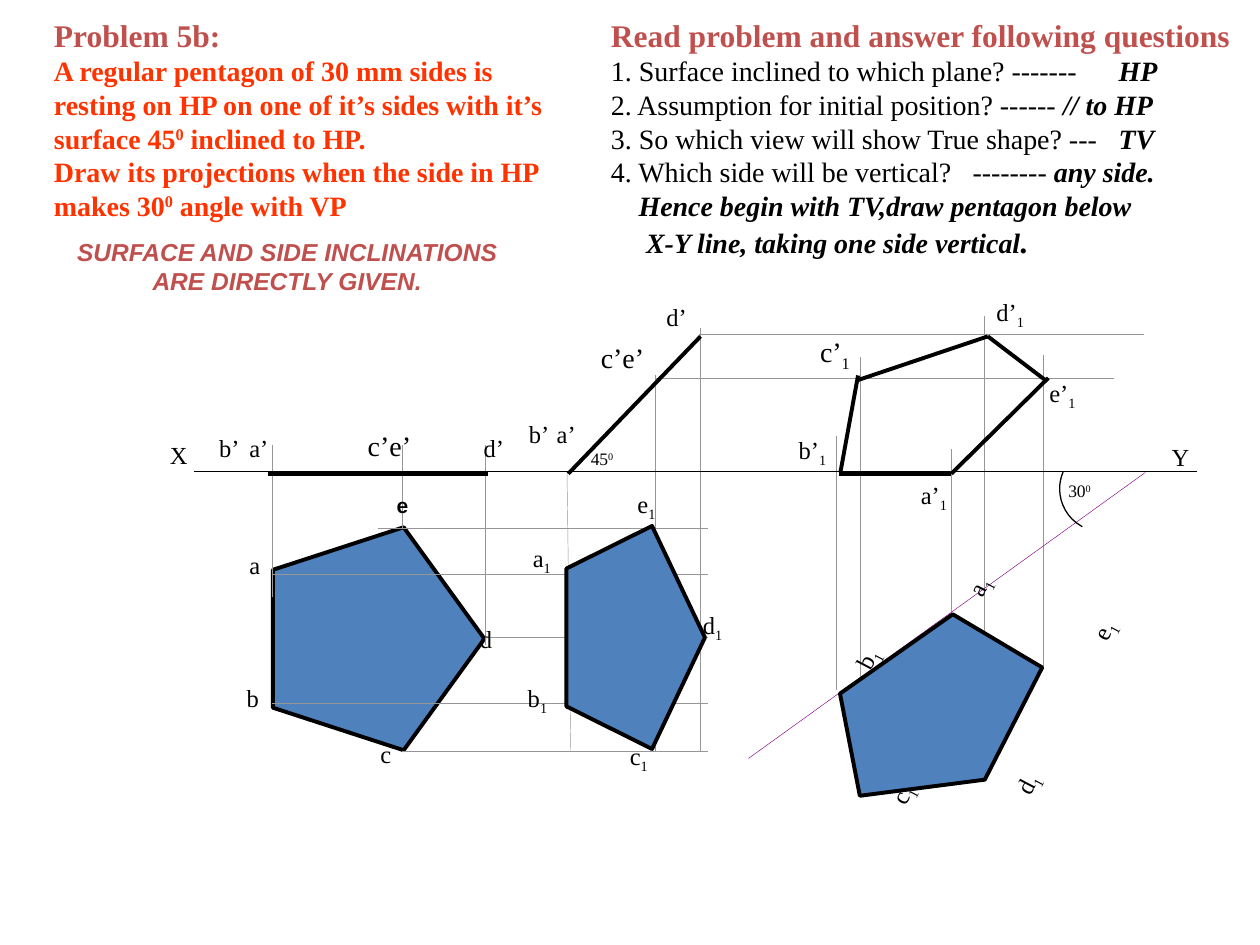
from collections import namedtuple

from lxml import etree
from pptx import Presentation
from pptx.dml.color import RGBColor
from pptx.enum.shapes import MSO_CONNECTOR, MSO_SHAPE
from pptx.enum.text import MSO_AUTO_SIZE, PP_ALIGN
from pptx.oxml.ns import qn
from pptx.util import Cm, Pt

STRAIGHT = MSO_CONNECTOR.STRAIGHT
PENTAGON = MSO_SHAPE.REGULAR_PENTAGON
ARC = MSO_SHAPE.ARC
CENTER = PP_ALIGN.CENTER
FIT_SHAPE = MSO_AUTO_SIZE.SHAPE_TO_FIT_TEXT

COLORS = {"ink": "000000", "heading": "C0504D", "problem": "FF3300",
          "fill": "4F81BD", "projector": "969696", "side": "800080"}
SERIF, SANS = "Times New Roman", "Arial"
CM_PER_UNIT = 2.54
THICK, THIN, HAIR = 2.25, 0.75, 0.25
LABEL_TILT = 297.7

Box = namedtuple("Box", "left top width height")


def length(value):
    """Turn drawing units into a slide length."""
    return Cm(value * CM_PER_UNIT)


def within(region, left, top, width, height):
    """Return a box whose corner is measured from the corner of a region."""
    return Box(region.left + left, region.top + top, width, height)


def add_span(para, text, size=14, color="ink", font=SERIF, bold=False, italic=False, baseline=0):
    """Add formatted text to a paragraph."""
    span = para.add_run()
    span.text = text
    span.font.name = font
    span.font.size = Pt(size)
    span.font.bold = bold
    span.font.italic = italic
    span.font.color.rgb = RGBColor.from_string(COLORS[color])
    if baseline:
        span._r.get_or_add_rPr().set("baseline", str(baseline * 1000))


def add_text(page, box, paragraphs, wrap=False, align=None, rotation=0, **style):
    """Add a text box; each paragraph is a list of (text, format) pairs."""
    shape = page.shapes.add_textbox(*map(length, box))
    shape.rotation = rotation
    frame = shape.text_frame
    frame.word_wrap = wrap
    frame.auto_size = FIT_SHAPE
    for index, spans in enumerate(paragraphs):
        para = frame.add_paragraph() if index else frame.paragraphs[0]
        para.alignment = align
        for text, changes in spans:
            add_span(para, text, **{**style, **changes})
    return frame


def add_label(page, region, text, left, top, width, index="", raised="", size=14, **style):
    """Add a point or angle label with an optional subscript or superscript."""
    spans = [(text, {})]
    if index:
        spans.append((index, {"baseline": -25}))
    if raised:
        spans.append((raised, {"baseline": 30}))
    height = round(0.1 + size / 60, 2)
    add_text(page, within(region, left, top, width, height), [spans], size=size, **style)


def add_line(page, region, start, end, color="ink", weight=THICK):
    """Draw a straight line between two points of a region."""
    ends = [length(region[axis] + point[axis]) for point in (start, end) for axis in (0, 1)]
    line = page.shapes.add_connector(STRAIGHT, *ends)
    line.line.color.rgb = RGBColor.from_string(COLORS[color])
    line.line.width = Pt(weight)
    etree.SubElement(line.element.spPr, qn("a:effectLst"))


def add_projectors(page, region, verticals=(), horizontals=()):
    """Draw projectors given as (position, start, end)."""
    for x, start, end in verticals:
        add_line(page, region, (x, start), (x, end), "projector", HAIR)
    for y, start, end in horizontals:
        add_line(page, region, (start, y), (end, y), "projector", HAIR)


def add_pentagon(page, box, rotation=90, flipped=False):
    """Add a filled pentagon plate."""
    shape = page.shapes.add_shape(PENTAGON, *map(length, box))
    shape.shadow.inherit = False
    shape.rotation = rotation
    if flipped:
        shape.element.spPr.xfrm.set("flipV", "1")
    shape.fill.solid()
    shape.fill.fore_color.rgb = RGBColor.from_string(COLORS["fill"])
    shape.line.color.rgb = RGBColor.from_string(COLORS["ink"])
    shape.line.width = Pt(THICK)


def problem_statement(page, region):
    """Write the problem and the remark under it."""
    heading = {"size": 18, "color": "heading"}
    raised = {"baseline": 30}
    add_text(page, within(region, 0, 0, 4.33, 1.74), [
        [("Problem 5b:", heading)],
        [("A regular pentagon of 30 mm sides is resting on HP on one of it’s sides "
          "with it’s surface 45", {}), ("0", raised), (" inclined to HP.", {})],
        [("Draw its projections when the side in HP makes 30", {}), ("0", raised),
         (" angle with VP", {})],
    ], wrap=True, size=16, color="problem", bold=True)
    add_text(page, within(region, 0.17, 1.75, 3.56, 0.57),
             [[("SURFACE AND SIDE INCLINATIONS", {})], [("ARE DIRECTLY GIVEN.", {})]],
             align=CENTER, font=SANS, color="heading", bold=True, italic=True)


def question_list(page, region):
    """Write the questions with their answers set on tabs."""
    answer = {"bold": True, "italic": True}
    frame = add_text(page, region, [
        [("Read problem and answer following questions",
          {"size": 18, "color": "heading", "bold": True})],
        [("1. Surface inclined to which plane? -------\t", {}), ("HP", answer)],
        [("2. Assumption for initial position? ------ ", {}), ("// to HP", answer)],
        [("3. So which view will show True shape? ---\t", {}), ("TV", answer)],
        [("4. Which side will be vertical?\t-------- ", {}), ("any side.", answer)],
        [("Hence begin with TV,draw pentagon below", answer)],
        [("X-Y line, taking one side vertical", answer), (".", {**answer, "size": 18})],
    ], size=16)
    for row, stop in ((1, 4.03), (3, 4.03), (4, 2.87)):
        tabs = etree.SubElement(frame.paragraphs[row]._p.get_or_add_pPr(), qn("a:tabLst"))
        etree.SubElement(tabs, qn("a:tab"), pos=str(length(stop)), algn="l")
    for row, indent in ((5, 0.22), (6, 0.28)):
        frame.paragraphs[row]._p.get_or_add_pPr().set("marL", str(length(indent)))


def initial_stage(page, region):
    """Draw the plate lying flat on HP, with its projectors to the right."""
    add_pentagon(page, within(region, 1.12, 2.23, 1.77, 1.68))
    add_projectors(page, region,
                   [(1.16, 2.74, 1.53), (2.19, 2.19, 1.53), (2.85, 3.12, 1.53)],
                   [(2.19, 2, 4.62), (2.56, 1.16, 4.62), (3.06, 2.85, 4.62),
                    (3.58, 1.16, 4.62), (3.96, 2.19, 4.62)])
    add_line(page, region, (1.13, 1.76), (2.87, 1.76))
    for text, left, top, width in (
            ("b’", 0.64, 1.39, 0.36), ("a’", 0.88, 1.39, 0.35), ("d’", 2.74, 1.39, 0.36),
            ("a", 0.88, 2.32, 0.29), ("b", 0.86, 3.37, 0.3), ("c", 1.92, 3.82, 0.29),
            ("d", 2.71, 2.9, 0.3)):
        add_label(page, region, text, left, top, width)
    add_label(page, region, "c’e’", 1.82, 1.35, 0.55, size=16)
    add_label(page, region, "e", 2.05, 1.86, 0.29, size=12, font=SANS, bold=True)


def tilted_stage(page, region):
    """Draw the plate with its surface inclined to HP."""
    add_projectors(page, region,
                   [(1.56, 0.6, 3.96), (1.2, 0.98, 3.96)],
                   [(0.65, 1.55, 5.08), (1, 1.21, 4.84)])
    add_line(page, region, (0.5, 1.74), (0.53, 3.96), "projector", HAIR)
    add_line(page, region, (0.51, 1.76), (1.56, 0.67))
    add_pentagon(page, within(region, 0.16, 2.51, 1.77, 1.1))
    for text, left, top, width in (
            ("a", 0.13, 2.26, 0.35), ("b", 0.09, 3.37, 0.36), ("c", 0.9, 3.83, 0.35),
            ("d", 1.48, 2.79, 0.36), ("e", 0.96, 1.83, 0.35)):
        add_label(page, region, text, left, top, width, index="1")
    for text, left, top in (("b’", 0.1, 1.28), ("a’", 0.32, 1.28), ("d’", 1.19, 0.35)):
        add_label(page, region, text, left, top, 0.36)
    add_label(page, region, "c’e’", 0.67, 0.65, 0.55, size=16)
    add_label(page, region, "45", 0.59, 1.51, 0.39, raised="0", size=10)


def final_stage(page, region):
    """Draw the plate with its resting side inclined to VP."""
    add_projectors(page, region,
                   [(1.83, 4.31, 0.83), (2.81, 4.21, 0.51), (1.64, 3.48, 1.46),
                    (3.28, 3.3, 0.82), (2.55, 2.86, 1.56)])
    for start, end in (((2.84, 0.67), (1.8, 1.02)), ((1.81, 0.98), (1.67, 1.75)),
                       ((1.66, 1.76), (2.55, 1.76)), ((3.32, 1), (2.55, 1.76)),
                       ((2.84, 0.67), (3.3, 1.02))):
        add_line(page, region, start, end)
    add_line(page, region, (0.94, 4.02), (4.09, 1.75), "side", HAIR)
    add_pentagon(page, within(region, 1.58, 3.08, 1.77, 1.22), rotation=324.9, flipped=True)
    for text, left, top in (("a", 2.57, 2.45), ("b", 1.68, 3.03), ("c", 1.96, 4.1),
                            ("d", 2.95, 4.02), ("e", 3.56, 2.8)):
        add_label(page, region, text, left, top, 0.42, index="1", rotation=LABEL_TILT)
    for text, left, top, width in (
            ("a’", 2.21, 1.76, 0.41), ("b’", 1.24, 1.4, 0.42),
            ("d’", 2.81, 0.31, 0.43), ("e’", 3.23, 0.95, 0.41)):
        add_label(page, region, text, left, top, width, index="1")
    add_label(page, region, "c’", 1.41, 0.61, 0.45, index="1", size=16)
    add_label(page, region, "30", 3.38, 1.76, 0.39, raised="0", size=10)
    arc = page.shapes.add_shape(ARC, *map(length, within(region, 3.41, 1.54, 0.68, 0.68)))
    arc.shadow.inherit = False
    arc.fill.background()
    arc.line.color.rgb = RGBColor.from_string(COLORS["ink"])
    arc.line.width = Pt(THIN)
    for index, degrees in enumerate((118, 203)):
        arc.adjustments[index] = degrees * 0.6


def reference_line(page, region):
    """Draw the X-Y line with its end letters."""
    add_line(page, region, (0.29, 0.3), (8.25, 0.3), weight=THIN)
    add_label(page, region, "X", 0, 0, 0.34)
    add_label(page, region, "Y", 7.95, 0.02, 0.34)


def main():
    """Build the slide and save it."""
    deck = Presentation()
    deck.slide_width, deck.slide_height = length(10), length(7.5)
    page = deck.slides.add_slide(deck.slide_layouts[6])
    question_list(page, Box(4.75, 0.08, 5.12, 2.04))
    problem_statement(page, Box(0.33, 0.08, 4.33, 2.32))
    initial_stage(page, Box(1, 2, 4.62, 4.16))
    tilted_stage(page, Box(4, 2, 5.08, 4.16))
    final_stage(page, Box(5, 2, 4.09, 4.6))
    reference_line(page, Box(1.25, 3.44, 8.29, 0.36))
    deck.save("out.pptx")


if __name__ == "__main__":
    main()
